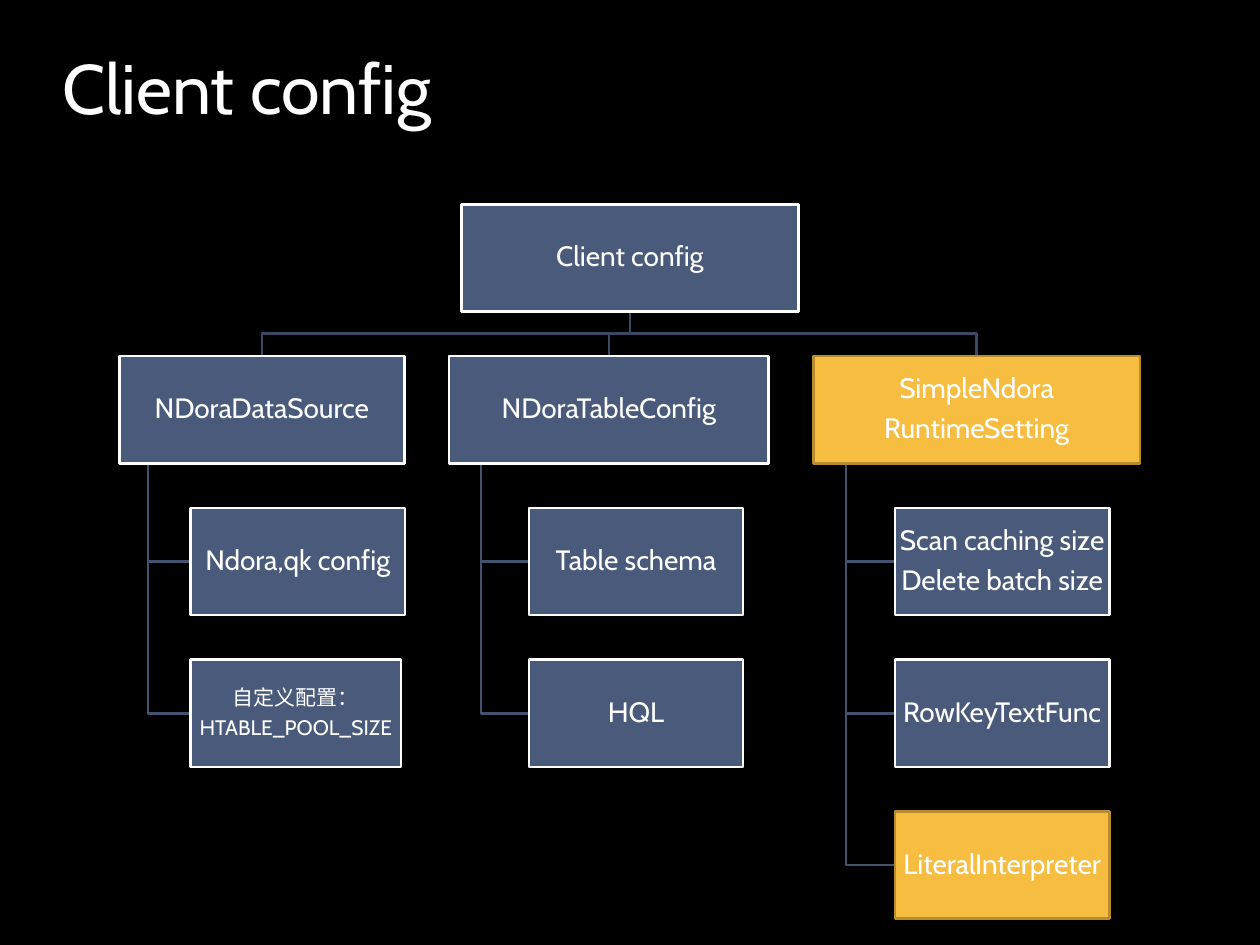
from pptx import Presentation
from pptx.dml.color import RGBColor
from pptx.enum.shapes import MSO_SHAPE as Kind
from pptx.enum.text import MSO_ANCHOR as Anchor, MSO_AUTO_SIZE as Auto, PP_ALIGN as Align
from pptx.util import Cm, Pt

FONT = "Cabin"
HEX = {"back": "000000", "text": "FFFFFF", "blue": "4A5A7A", "gold": "F7BD40",
       "edge": "FFFFFF", "rim": "B78C2F", "stem": "3B4862", "twig": "43526F"}
INK = {name: RGBColor.from_string(code) for name, code in HEX.items()}
EDGE = {"blue": "edge", "gold": "rim"}
HIGH, STEP, GAP, LEAF = 2.16, 3.06, 0.9, 4.32
TREE = [
    (5.74, "NDoraDataSource", "blue", [
        ("Ndora,qk config", "blue", LEAF, 16),
        ("自定义配置：\nHTABLE_POOL_SIZE", "blue", 4.24, 12)]),
    (6.45, "NDoraTableConfig", "blue", [
        ("Table schema", "blue", LEAF, 16),
        ("HQL", "blue", LEAF, 16)]),
    (6.58, "SimpleNdora\nRuntimeSetting", "gold", [
        ("Scan caching size\nDelete batch size", "blue", LEAF, 16),
        ("RowKeyTextFunc", "blue", LEAF, 16),
        ("LiteralInterpreter", "gold", LEAF, 16)]),
]


def add_title(slide, text, left, top, width, height):
    """Place and format the title placeholder."""
    title = slide.shapes.title
    title.left, title.top, title.width, title.height = map(Cm, (left, top, width, height))
    frame = title.text_frame
    frame.text = text
    frame.auto_size = Auto.NONE
    frame.vertical_anchor = Anchor.BOTTOM
    para = frame.paragraphs[0]
    para.alignment = Align.LEFT
    para.space_before = Pt(4)
    para.font.name, para.font.size = FONT, Pt(40)
    para.font.color.rgb = INK["text"]


def add_path(slide, tint, *spots):
    """Draw an open bent line through the given points."""
    first, *rest = [(Cm(x), Cm(y)) for x, y in spots]
    pen = slide.shapes.build_freeform(*first)
    pen.add_line_segments(rest, close=False)
    path = pen.convert_to_shape()
    path.shadow.inherit = False
    path.fill.background()
    path.line.color.rgb, path.line.width = INK[tint], Pt(1.5)


def add_box(slide, text, tint, left, top, width, size=16):
    """Draw one box of the tree with its centred text."""
    box = slide.shapes.add_shape(Kind.RECTANGLE, Cm(left), Cm(top), Cm(width), Cm(HIGH))
    box.shadow.inherit = False
    box.fill.solid()
    box.fill.fore_color.rgb = INK[tint]
    box.line.color.rgb, box.line.width = INK[EDGE[tint]], Pt(1.5)
    frame = box.text_frame
    frame.text = text
    frame.word_wrap = True
    frame.vertical_anchor = Anchor.MIDDLE
    frame.margin_left = frame.margin_right = Cm(0.03)
    frame.margin_top = frame.margin_bottom = Cm(0.03)
    for para in frame.paragraphs:
        para.alignment = Align.CENTER
        para.line_spacing = 0.9
        para.space_after = Pt(size * 0.35)
        para.font.name, para.font.size = FONT, Pt(size)
        para.font.color.rgb = INK["text"]


def add_branch(slide, branch, left, top):
    """Draw a branch head with its leaves hung below it."""
    width, text, tint, leaves = branch
    trunk, inner = left + width * 0.1, left + width * 0.25
    for row, (label, shade, span, size) in enumerate(leaves, 1):
        y = top + row * STEP
        add_path(slide, "twig", (trunk, top + HIGH), (trunk, y + HIGH / 2),
                 (inner, y + HIGH / 2))
        add_box(slide, label, shade, inner, y, span, size)
    add_box(slide, text, tint, left, top, width)


def add_tree(slide, left, top, width):
    """Draw the root box and its branches side by side."""
    root, mid = 6.8, left + width / 2
    low, head = top + HIGH, top + STEP
    bend = (low + head) / 2
    x = left
    for branch in TREE:
        hub = x + branch[0] / 2
        add_path(slide, "stem", (mid, low), (mid, bend), (hub, bend), (hub, head))
        add_branch(slide, branch, x, head)
        x += branch[0] + GAP
    add_box(slide, "Client config", "blue", mid - root / 2, top, root)


def main():
    """Build and save the slide."""
    deck = Presentation()
    deck.slide_width, deck.slide_height = Cm(25.4), Cm(19.05)
    slide = deck.slides.add_slide(deck.slide_layouts[5])
    slide.background.fill.solid()
    slide.background.fill.fore_color.rgb = INK["back"]
    add_title(slide, "Client config", 1, 0.64, 21.33, 2.08)
    add_tree(slide, 2.41, 4.12, 20.58)
    deck.save("out.pptx")


if __name__ == "__main__":
    main()
